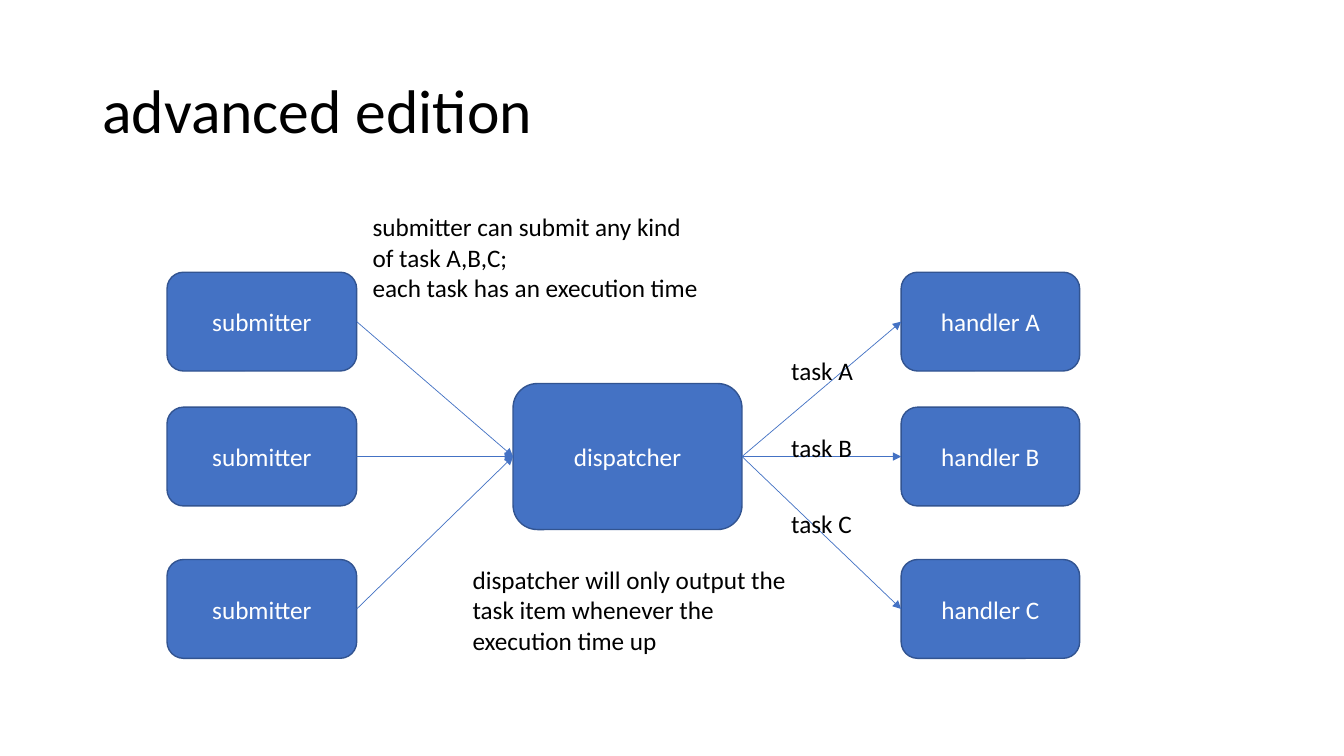
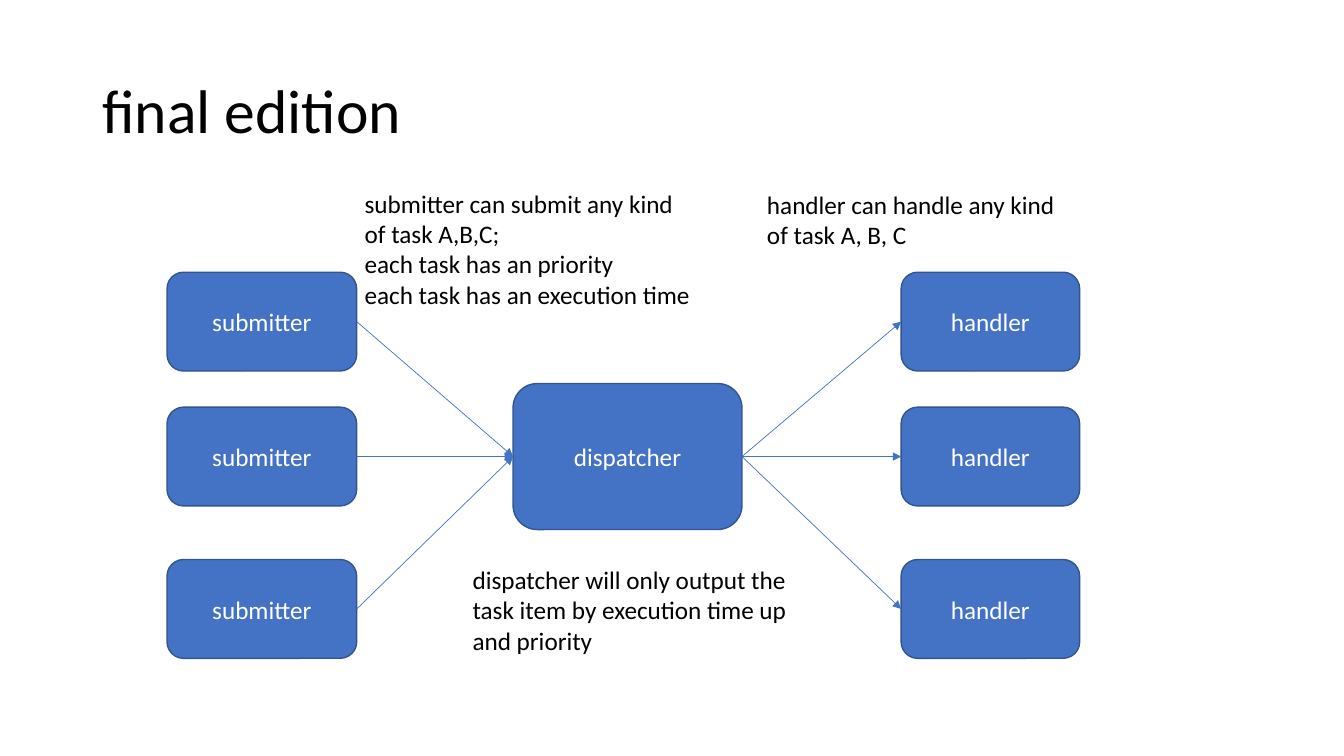
import pptx
import pptx.util
import pptx.dml.color
import pptx.enum.shapes
import pptx.enum.text
import pptx.oxml

Cm = pptx.util.Cm
Shape = pptx.enum.shapes.MSO_SHAPE
Align = pptx.enum.text.PP_ALIGN
Anchor = pptx.enum.text.MSO_ANCHOR

# Content: notes and labels are (lines, left, top, width, height) in cm
SLIDES = [
    {
        "title": "advanced edition",
        "handlers": ["handler A", "handler B", "handler C"],
        "tasks": ["task A", "task B", "task C"],
        "notes": [
            (["submitter can submit any kind of task A,B,C;",
              "each task has an execution time"], 9.14, 5.21, 8.86, 2.57),
            (["dispatcher will only output the task item whenever "
              "the execution time up"], 11.66, 14.1, 8.76, 2.57),
        ],
    },
    {
        "title": "final edition",
        "handlers": ["handler"] * 3,
        "tasks": [],
        "notes": [
            (["submitter can submit any kind of task A,B,C;",
              "each task has an priority",
              "each task has an execution time"], 8.94, 4.62, 8.86, 3.33),
            (["dispatcher will only output the task item by "
              "execution time up and priority"], 11.66, 14.1, 8.76, 2.57),
            (["handler can handle any kind of task A, B, C"],
             19.08, 4.65, 7.82, 1.8),
        ],
    },
]

# Shared style and layout, in cm
FONT = "Calibri"
BLUE, EDGE, BLACK, WHITE = "4472C4", "325491", "000000", "FFFFFF"
ROWS, ROW_H = [6.86, 10.26, 14.1], 2.49
SUB_X, SUB_W = 4.21, 4.78
HUB_X, HUB_W, HUB_H = 12.93, 5.77, 3.68
HUB_Y = ROWS[1] + (ROW_H - HUB_H) / 2
HAND_X, HAND_W = 22.71, 4.5
TASK_X, TASK_Y, TASK_GAP = 19.69, 8.84, 1.92
LEFT, RIGHT = 1, 3  # connection sites of a rounded box


def color(code):
    return pptx.dml.color.RGBColor.from_string(code)


def write(shape, lines, size=18, ink=BLACK, align=Align.LEFT,
          anchor=Anchor.TOP, space=1.0):
    frame = shape.text_frame
    frame.word_wrap = True
    frame.vertical_anchor = anchor
    for i, line in enumerate(lines):
        para = frame.add_paragraph() if i else frame.paragraphs[0]
        para.alignment = align
        para.line_spacing = space
        run = para.add_run()
        run.text = line
        run.font.name = FONT
        run.font.size = pptx.util.Pt(size)
        run.font.color.rgb = color(ink)


def note(slide, lines, x, y, w, h, **style):
    box = slide.shapes.add_textbox(Cm(x), Cm(y), Cm(w), Cm(h))
    write(box, lines, **style)


def node(slide, name, x, y, w, h):
    box = slide.shapes.add_shape(Shape.ROUNDED_RECTANGLE,
                                 Cm(x), Cm(y), Cm(w), Cm(h))
    box.shadow.inherit = False
    box.fill.solid()
    box.fill.fore_color.rgb = color(BLUE)
    box.line.color.rgb = color(EDGE)
    box.line.width = pptx.util.Pt(1)
    write(box, [name], ink=WHITE, align=Align.CENTER, anchor=Anchor.MIDDLE)
    return box


def arrow(slide, start, end):
    link = slide.shapes.add_connector(
        pptx.enum.shapes.MSO_CONNECTOR.STRAIGHT, 0, 0, 0, 0)
    link.begin_connect(start, RIGHT)
    link.end_connect(end, LEFT)
    link.line.color.rgb = color(BLUE)
    link.line.width = pptx.util.Pt(0.5)
    space = "http://schemas.openxmlformats.org/drawingml/2006/main"
    tip = f'<a:tailEnd xmlns:a="{space}" type="triangle"/>'
    link.line._get_or_add_ln().append(pptx.oxml.parse_xml(tip))
    flat = f'<a:effectLst xmlns:a="{space}"/>'
    link._element.spPr.append(pptx.oxml.parse_xml(flat))


def build(deck, data):
    slide = deck.slides.add_slide(deck.slide_layouts[6])
    note(slide, [data["title"]], 2.33, 1.01, 29.21, 3.68,
         size=44, anchor=Anchor.MIDDLE, space=0.9)

    # Boxes
    subs = [node(slide, "submitter", SUB_X, y, SUB_W, ROW_H) for y in ROWS]
    hub = node(slide, "dispatcher", HUB_X, HUB_Y, HUB_W, HUB_H)
    hands = [node(slide, name, HAND_X, y, HAND_W, ROW_H)
             for name, y in zip(data["handlers"], ROWS)]

    # Arrows
    for sub in subs:
        arrow(slide, sub, hub)
    for hand in hands:
        arrow(slide, hub, hand)

    # Task labels and notes
    for i, task in enumerate(data["tasks"]):
        note(slide, [task], TASK_X, TASK_Y + i * TASK_GAP, 2.4, 1.02)
    for item in data["notes"]:
        note(slide, *item)


deck = pptx.Presentation()
deck.slide_width, deck.slide_height = Cm(33.87), Cm(19.05)
for data in SLIDES:
    build(deck, data)
deck.save("out.pptx")
